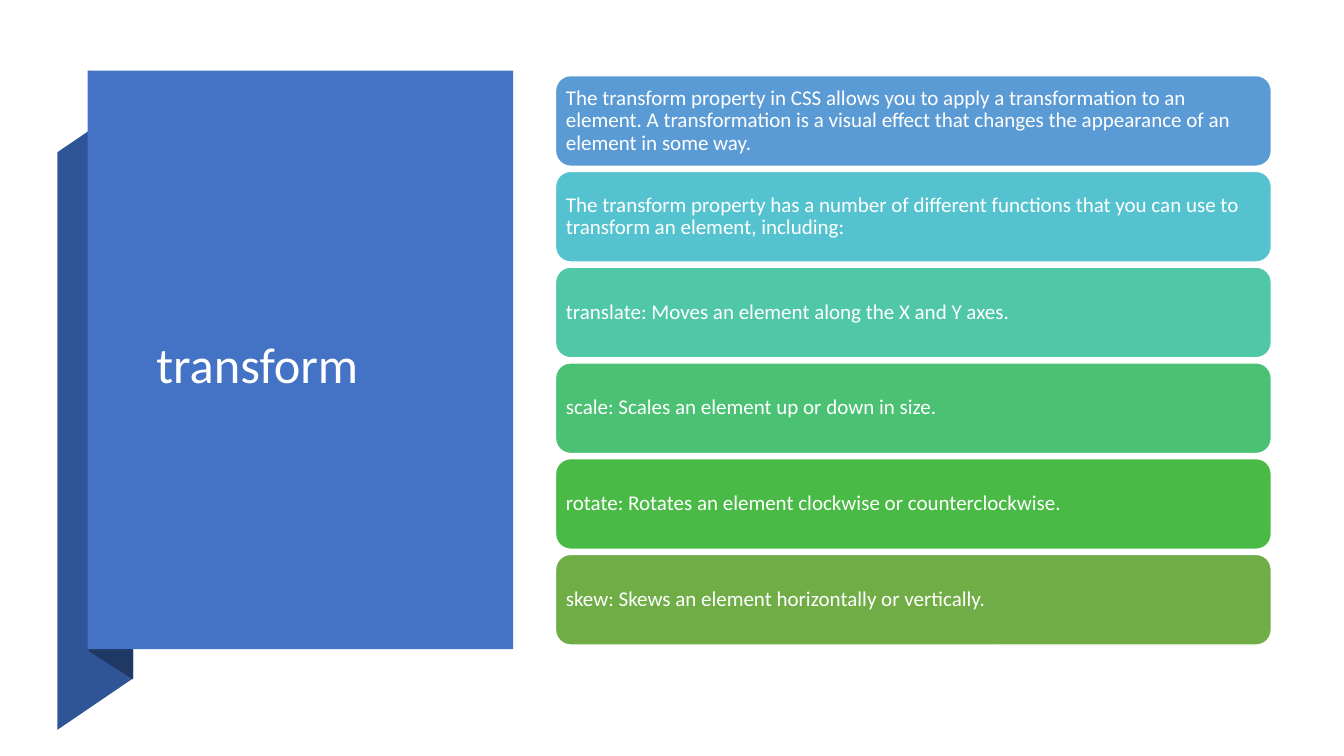
from dataclasses import dataclass

from pptx import Presentation
from pptx.dml.color import RGBColor
from pptx.enum.shapes import MSO_SHAPE
from pptx.enum.text import MSO_ANCHOR, MSO_AUTO_SIZE, PP_ALIGN
from pptx.shapes.autoshape import Shape
from pptx.slide import Slide
from pptx.text.text import TextFrame
from pptx.util import Inches, Pt

RECTANGLE = MSO_SHAPE.RECTANGLE
ROUNDED = MSO_SHAPE.ROUNDED_RECTANGLE
MIDDLE = MSO_ANCHOR.MIDDLE
LEFT = PP_ALIGN.LEFT
NO_AUTOFIT = MSO_AUTO_SIZE.NONE

WHITE = RGBColor(0xFF, 0xFF, 0xFF)
PANEL_BLUE = RGBColor(0x44, 0x72, 0xC4)
RIBBON_BLUE = RGBColor(0x2F, 0x55, 0x97)
FOLD_NAVY = RGBColor(0x20, 0x38, 0x64)

FONT = "Calibri"
CARD_LEFT, CARD_TOP = 5.51, 0.75
CARD_WIDTH, CARD_HEIGHT = 7.1, 0.9
CARD_PITCH = 0.95
CARD_INSET = Inches(0.06)


@dataclass(frozen=True)
class Card:
    text: str
    color: RGBColor


@dataclass(frozen=True)
class Fold:
    points: tuple[tuple[float, float], ...]
    color: RGBColor


FOLDS = (
    Fold(((0.57, 7.24), (1.32, 6.73), (1.32, 1), (0.57, 1.51)), RIBBON_BLUE),
    Fold(((0.88, 6.46), (1.32, 6.74), (1.32, 0.99), (0.88, 0.7)), FOLD_NAVY),
)

CARDS = (
    Card("The transform property in CSS allows you to apply a transformation to an "
         "element. A transformation is a visual effect that changes the appearance "
         "of an element in some way.", RGBColor(0x5B, 0x9B, 0xD5)),
    Card("The transform property has a number of different functions that you can "
         "use to transform an element, including:", RGBColor(0x55, 0xC3, 0xCF)),
    Card("translate: Moves an element along the X and Y axes.",
         RGBColor(0x50, 0xC8, 0xA7)),
    Card("scale: Scales an element up or down in size.",
         RGBColor(0x4B, 0xC1, 0x74)),
    Card("rotate: Rotates an element clockwise or counterclockwise.",
         RGBColor(0x4A, 0xBA, 0x46)),
    Card("skew: Skews an element horizontally or vertically.",
         RGBColor(0x70, 0xAD, 0x47)),
)


def paint(shape: Shape, color: RGBColor) -> None:
    """Give a shape a flat fill with no outline or shadow."""
    shape.shadow.inherit = False
    shape.fill.solid()
    shape.fill.fore_color.rgb = color
    shape.line.fill.background()


def write(frame: TextFrame, text: str, size: int) -> None:
    """Set left-aligned, vertically centred white text."""
    frame.text = text
    frame.word_wrap = True
    frame.auto_size = NO_AUTOFIT
    frame.vertical_anchor = MIDDLE
    para = frame.paragraphs[0]
    para.alignment = LEFT
    para.line_spacing = 0.9
    font = para.runs[0].font
    font.name = FONT
    font.size = Pt(size)
    font.color.rgb = WHITE


def draw_fold(page: Slide, fold: Fold) -> None:
    start, *rest = [(Inches(x), Inches(y)) for x, y in fold.points]
    builder = page.shapes.build_freeform(*start)
    builder.add_line_segments(rest, close=True)
    paint(builder.convert_to_shape(), fold.color)


def draw_panel(page: Slide) -> None:
    panel = page.shapes.add_shape(
        RECTANGLE, Inches(0.87), Inches(0.7), Inches(4.22), Inches(5.74))
    paint(panel, PANEL_BLUE)


def place_title(page: Slide, text: str) -> None:
    """Format the title placeholder and bring it in front of the panel."""
    title = page.shapes.title
    title.left, title.top = Inches(1.45), Inches(1.67)
    title.width, title.height = Inches(3.01), Inches(3.94)
    write(title.text_frame, text, 36)
    page.shapes.element.append(title.element)


def draw_card(page: Slide, card: Card, row: int) -> None:
    box = page.shapes.add_shape(
        ROUNDED, Inches(CARD_LEFT), Inches(CARD_TOP + row * CARD_PITCH),
        Inches(CARD_WIDTH), Inches(CARD_HEIGHT))
    paint(box, card.color)
    box.line.color.rgb = WHITE
    box.line.width = Pt(1)
    frame = box.text_frame
    frame.margin_left = frame.margin_right = CARD_INSET
    frame.margin_top = frame.margin_bottom = CARD_INSET
    write(frame, card.text, 15)


def main() -> None:
    deck = Presentation()
    deck.slide_width, deck.slide_height = Inches(13.33), Inches(7.5)
    page = deck.slides.add_slide(deck.slide_layouts[5])
    for fold in FOLDS:
        draw_fold(page, fold)
    draw_panel(page)
    place_title(page, "transform")
    for row, card in enumerate(CARDS):
        draw_card(page, card, row)
    deck.save("out.pptx")


if __name__ == "__main__":
    main()
